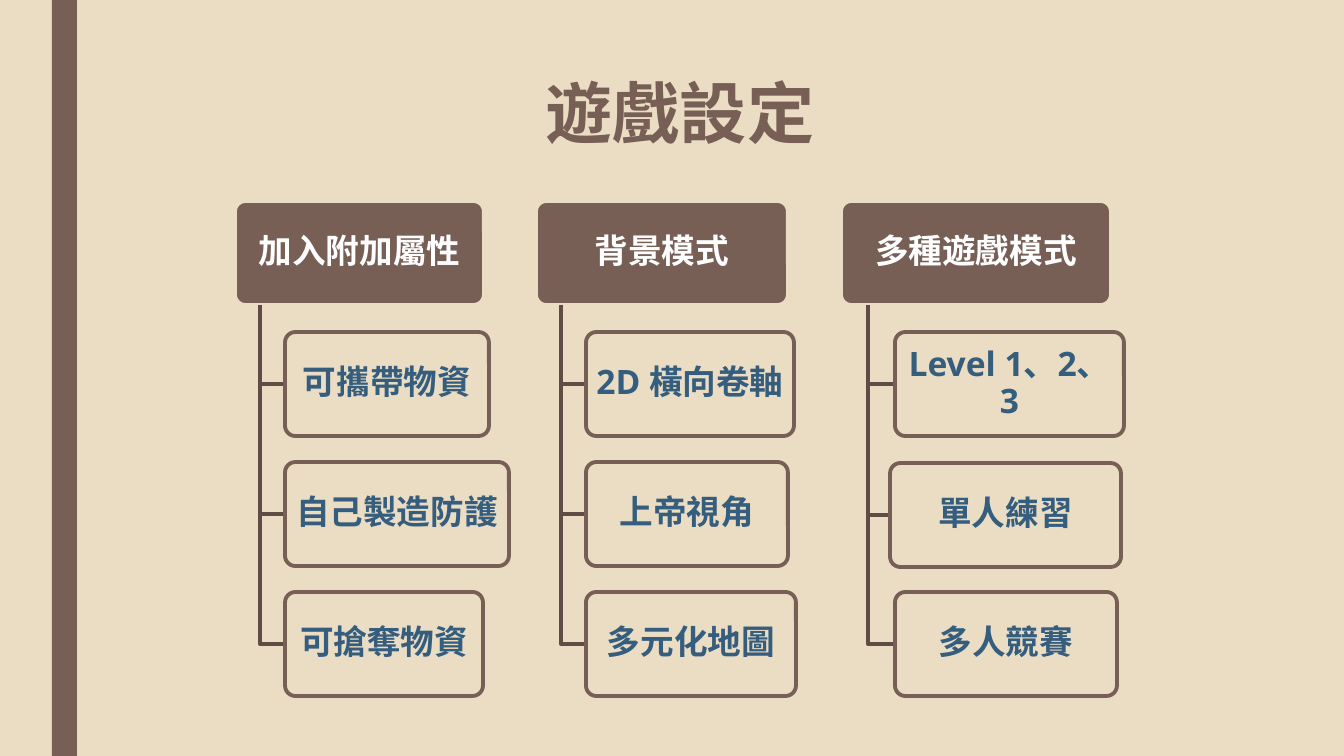
from dataclasses import dataclass

from pptx import Presentation
from pptx.dml.color import RGBColor
from pptx.enum.shapes import MSO_SHAPE
from pptx.enum.text import MSO_ANCHOR, PP_ALIGN
from pptx.shapes.autoshape import Shape
from pptx.util import Pt

RECT = MSO_SHAPE.RECTANGLE
ROUND = MSO_SHAPE.ROUNDED_RECTANGLE
MIDDLE = MSO_ANCHOR.MIDDLE
TOP = MSO_ANCHOR.TOP
CENTER = PP_ALIGN.CENTER

SCALE = 914400 / 100.8
FONT = "Open Sans"
COLORS = {
    "sand": "EBDDC3",
    "brown": "775F55",
    "stem": "5F4C44",
    "blue": "355D7E",
    "white": "FFFFFF",
}
BOX_H = 104
HEAD_Y = 201
STEM_Y = 305
LEAF_Y = 332
STEP = 130
LINE_W = 2.75


@dataclass(frozen=True)
class Leaf:
    text: str
    width: int
    left: int = 0
    down: int = 0


@dataclass(frozen=True)
class Branch:
    text: str
    x: int
    width: int
    leaves: tuple[Leaf, ...]


BRANCHES = (
    Branch("加入附加屬性", 235, 249, (
        Leaf("可攜帶物資", 204),
        Leaf("自己製造防護", 224),
        Leaf("可搶奪物資", 198),
    )),
    Branch("背景模式", 536, 252, (
        Leaf("2D 橫向卷軸", 208),
        Leaf("上帝視角", 202),
        Leaf("多元化地圖", 210),
    )),
    Branch("多種遊戲模式", 841, 270, (
        Leaf("Level 1、2、3", 229),
        Leaf("單人練習", 231, left=5, down=1),
        Leaf("多人競賽", 222),
    )),
)


def px(n: float) -> int:
    return round(n * SCALE)


def color(name: str) -> RGBColor:
    return RGBColor.from_string(COLORS[name])


def stroke(shape: Shape, name: str) -> None:
    shape.line.color.rgb = color(name)
    shape.line.width = Pt(LINE_W)


def write(shape: Shape, text: str, size: int, ink: str, space: float) -> None:
    frame = shape.text_frame
    frame.word_wrap = True
    para = frame.paragraphs[0]
    para.text = text
    para.alignment = CENTER
    para.line_spacing = space
    font = para.font
    font.name = FONT
    font.size = Pt(size)
    font.bold = True
    font.color.rgb = color(ink)


def box(x: int, y: int, width: int, text: str,
        fill: str, edge: str, ink: str) -> None:
    shape = slide.shapes.add_shape(ROUND, px(x), px(y), px(width), px(BOX_H))
    shape.shadow.inherit = False
    shape.adjustments[0] = 0.1
    shape.fill.solid()
    shape.fill.fore_color.rgb = color(fill)
    stroke(shape, edge)
    frame = shape.text_frame
    frame.vertical_anchor = MIDDLE
    frame.margin_left = frame.margin_right = px(5)
    frame.margin_top = frame.margin_bottom = px(3)
    write(shape, text, 24, ink, 0.9)


def stem(x: int, end_x: int, end_y: int) -> None:
    path = slide.shapes.build_freeform(x, STEM_Y, scale=SCALE)
    path.add_line_segments([(x, end_y), (end_x, end_y)], close=False)
    shape = path.convert_to_shape()
    shape.shadow.inherit = False
    shape.fill.background()
    stroke(shape, "stem")


def draw(branch: Branch) -> None:
    box(branch.x, HEAD_Y, branch.width, branch.text, "brown", "sand", "white")
    stem_x = branch.x + round(branch.width / 10)
    leaf_x = branch.x + round(branch.width / 5)
    for row, leaf in enumerate(branch.leaves):
        x = leaf_x - leaf.left
        y = LEAF_Y + row * STEP + leaf.down
        stem(stem_x, x, y + BOX_H // 2)
        box(x, y, leaf.width, leaf.text, "sand", "brown", "blue")


deck = Presentation()
deck.slide_width = px(1344)
deck.slide_height = px(756)
slide = deck.slides.add_slide(deck.slide_layouts[6])
slide.background.fill.solid()
slide.background.fill.fore_color.rgb = color("sand")

bar = slide.shapes.add_shape(RECT, px(52), 0, px(25), px(756))
bar.shadow.inherit = False
bar.fill.solid()
bar.fill.fore_color.rgb = color("brown")
bar.line.fill.background()

title = slide.shapes.add_textbox(px(151), px(76), px(1058), px(163))
title.text_frame.vertical_anchor = TOP
write(title, "遊戲設定", 48, "brown", 0.89)

for branch in BRANCHES:
    draw(branch)

deck.save("out.pptx")
